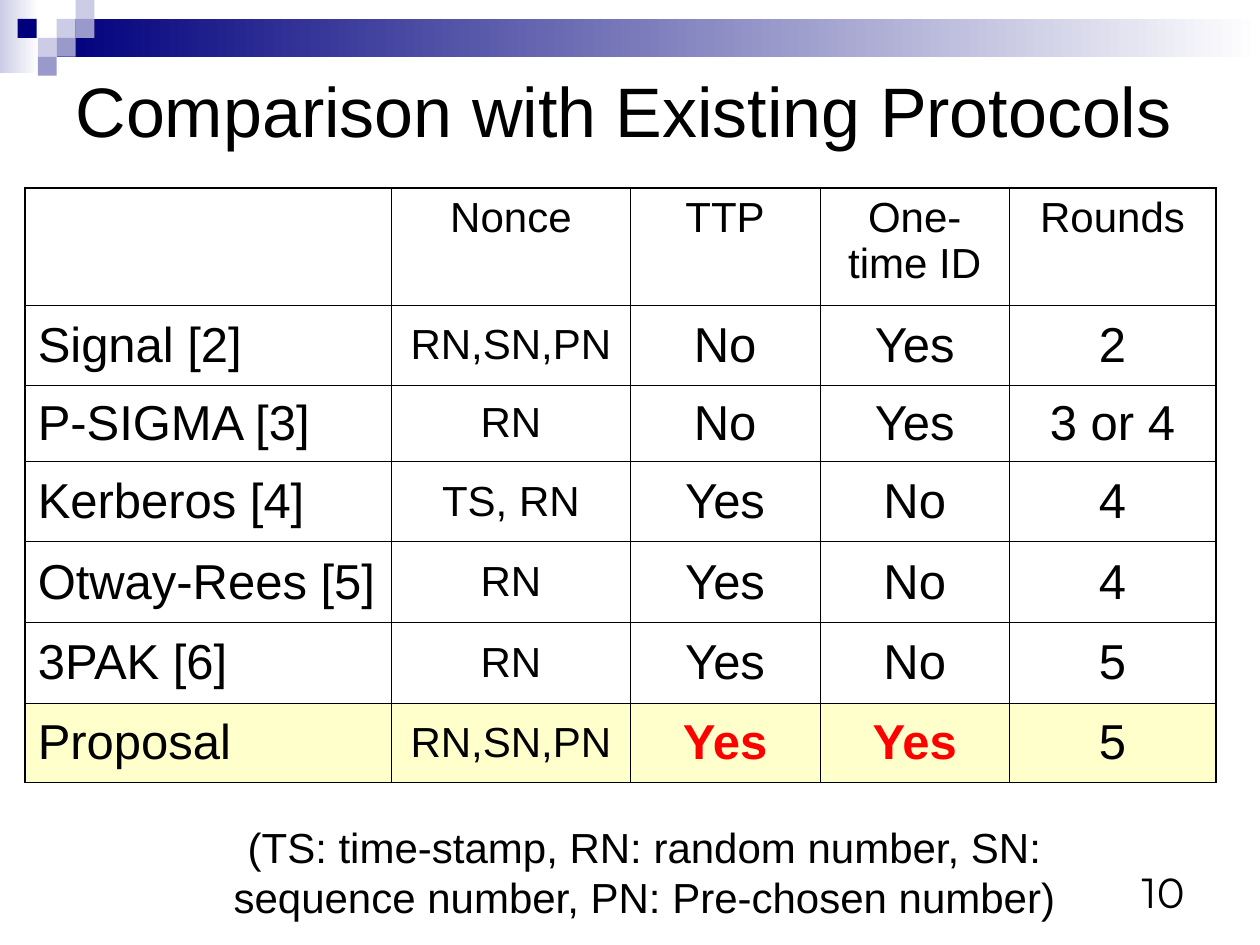
from lxml import etree
from pptx import Presentation
from pptx.dml.color import RGBColor
from pptx.enum import shapes, text
from pptx.oxml.ns import qn
from pptx.util import Inches, Pt

BLACK = RGBColor(0x00, 0x00, 0x00)
WHITE = RGBColor(0xFF, 0xFF, 0xFF)
RED = RGBColor(0xFF, 0x00, 0x00)
NAVY = RGBColor(0x00, 0x00, 0x7D)
LAVENDER = RGBColor(0xCC, 0xCC, 0xE6)
PERIWINKLE = RGBColor(0x99, 0x99, 0xCC)
CREAM = RGBColor(0xFF, 0xFF, 0xCC)

THIN, THICK = Pt(0.45), Pt(1.08)


def write(tf, content, size, align, font="Arial", color=BLACK, bold=False):
    tf.text = content
    tf.word_wrap = True
    p = tf.paragraphs[0]
    p.alignment = align
    for r in p.runs:
        r.font.name, r.font.size = font, Pt(size)
        r.font.color.rgb, r.font.bold = color, bold
    return p


def set_border(cell, side, width):
    ln = etree.SubElement(cell._tc.get_or_add_tcPr(), qn(f"a:ln{side}"), w=str(width))
    fill = etree.SubElement(ln, qn("a:solidFill"))
    etree.SubElement(fill, qn("a:srgbClr"), val=str(BLACK))


prs = Presentation()
prs.slide_width, prs.slide_height = Inches(10), Inches(7.5)
s = prs.slides.add_slide(prs.slide_layouts[5])

# Header decoration: two gradient bands, then a mosaic of small squares
bands = [(0, 0, 0.31, 0.58, LAVENDER), (0.45, 0.15, 9.55, 0.3, NAVY)]
squares = [(0.45, 0.15, LAVENDER), (0.6, 0, LAVENDER), (0.6, 0.15, PERIWINKLE),
           (0.3, 0.3, LAVENDER), (0.14, 0.15, NAVY), (0.45, 0.3, PERIWINKLE),
           (0.3, 0.45, PERIWINKLE)]
tiles = bands + [(x, y, 0.15, 0.15, color) for x, y, color in squares]
for i, (x, y, w, h, color) in enumerate(tiles):
    sp = s.shapes.add_shape(shapes.MSO_SHAPE.RECTANGLE,
                            Inches(x), Inches(y), Inches(w), Inches(h))
    sp.shadow.inherit = False
    sp.line.fill.background()
    if i < len(bands):
        sp.fill.gradient()
        sp.fill.gradient_angle = 180
        for stop, stop_color, position in zip(sp.fill.gradient_stops, (WHITE, color), (0, 1)):
            stop.color.rgb, stop.position = stop_color, position
    else:
        sp.fill.solid()
        sp.fill.fore_color.rgb = color

title = s.shapes.title
title.left, title.top = Inches(0.5), Inches(0.12)
title.width, title.height = Inches(9.5), Inches(1.5)
write(title.text_frame, "Comparison with Existing Protocols", 40, text.PP_ALIGN.LEFT)
title.text_frame.vertical_anchor = text.MSO_ANCHOR.MIDDLE

# Comparison table
rows = [
    ("", "Nonce", "TTP", "One-time ID", "Rounds"),
    ("Signal [2]", "RN,SN,PN", "No", "Yes", "2"),
    ("P-SIGMA [3]", "RN", "No", "Yes", "3 or 4"),
    ("Kerberos [4]", "TS, RN", "Yes", "No", "4"),
    ("Otway-Rees [5]", "RN", "Yes", "No", "4"),
    ("3PAK [6]", "RN", "Yes", "No", "5"),
    ("Proposal", "RN,SN,PN", "Yes", "Yes", "5"),
]
col_widths = [2.91, 1.89, 1.51, 1.5, 1.64]
row_heights = [0.93, 0.64, 0.6, 0.64, 0.64, 0.64, 0.63]
last_row, last_col = len(rows) - 1, len(col_widths) - 1

table = s.shapes.add_table(len(rows), len(col_widths), Inches(0.2), Inches(1.49),
                           Inches(sum(col_widths)), Inches(sum(row_heights))).table
table.first_row = table.horz_banding = False
for col, w in zip(table.columns, col_widths):
    col.width = Inches(w)
for row, h in zip(table.rows, row_heights):
    row.height = Inches(h)

for i, row in enumerate(rows):
    for j, content in enumerate(row):
        cell = table.cell(i, j)
        small = i == 0 or j == 1
        highlight = i == last_row and j in (2, 3)
        p = write(cell.text_frame, content, 24 if small else 28,
                  text.PP_ALIGN.LEFT if j == 0 else text.PP_ALIGN.CENTER,
                  color=RED if highlight else BLACK, bold=highlight)
        p.space_before = Pt(6 if small else 7)
        cell.vertical_anchor = text.MSO_ANCHOR.TOP if i == 0 else text.MSO_ANCHOR.MIDDLE
        outer_sides = {"L": j == 0, "R": j == last_col, "T": i == 0, "B": i == last_row}
        for side, outer in outer_sides.items():
            set_border(cell, side, THICK if outer else THIN)
        if i == last_row:
            cell.fill.solid()
            cell.fill.fore_color.rgb = CREAM
        else:
            cell.fill.background()

legend = s.shapes.add_textbox(Inches(1.53), Inches(6.47), Inches(7.17), Inches(0.9))
write(legend.text_frame,
      "(TS: time-stamp, RN: random number, SN: sequence number, PN: Pre-chosen number)",
      24, text.PP_ALIGN.CENTER)

number = s.shapes.add_textbox(Inches(7.17), Inches(6.83), Inches(2.33), Inches(0.5))
write(number.text_frame, "10", 24, text.PP_ALIGN.RIGHT, font="Montserrat")
number.text_frame.vertical_anchor = text.MSO_ANCHOR.BOTTOM

prs.save("out.pptx")
